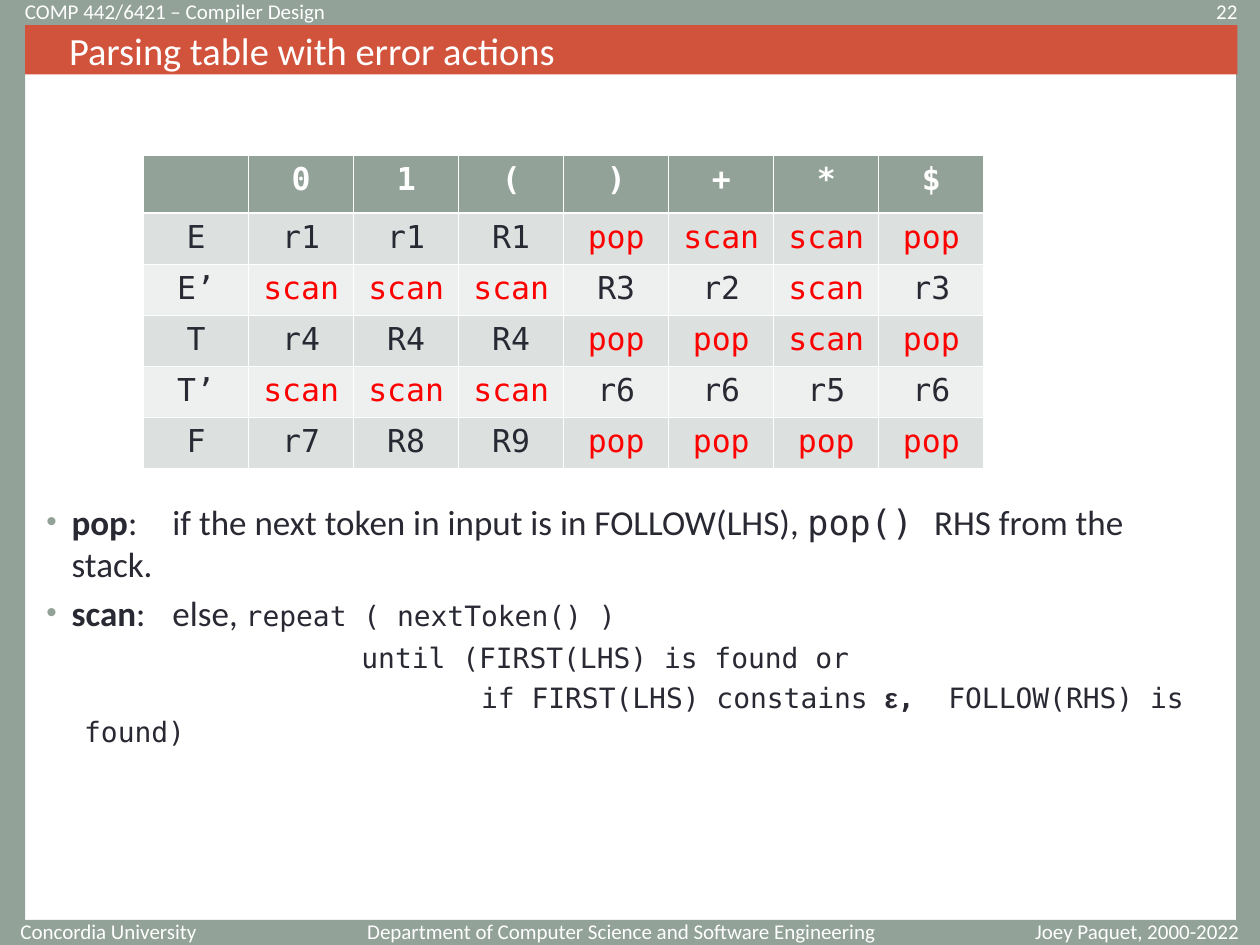
from pptx import Presentation
from pptx.dml.color import RGBColor
from pptx.enum.shapes import MSO_SHAPE
from pptx.enum.text import MSO_ANCHOR, PP_ALIGN
from pptx.oxml.ns import qn
from pptx.util import Inches, Pt
from lxml import etree

RECT = MSO_SHAPE.RECTANGLE
MIDDLE = MSO_ANCHOR.MIDDLE
LEFT, CENTER, RIGHT = PP_ALIGN.LEFT, PP_ALIGN.CENTER, PP_ALIGN.RIGHT
COLORS = {"sage": "93A299", "brick": "D2533C", "white": "FFFFFF", "ink": "292934",
          "error": "FF0000", "band": "DCE0DE", "light": "EEF0EF"}
SANS, MONO, ARIAL = "Calibri", "DejaVu Sans Mono", "Arial"
COLS, ROWS = 100, 75  # slide grid

PARSING_TABLE = [
    ["", "0", "1", "(", ")", "+", "*", "$"],
    ["E", "r1", "r1", "R1", "pop", "scan", "scan", "pop"],
    ["E’", "scan", "scan", "scan", "R3", "r2", "scan", "r3"],
    ["T", "r4", "R4", "R4", "pop", "pop", "scan", "pop"],
    ["T’", "scan", "scan", "scan", "r6", "r6", "r5", "r6"],
    ["F", "r7", "R8", "R9", "pop", "pop", "pop", "pop"],
]
ERROR_ACTIONS = ("pop", "scan")

# Paragraphs: bulleted, first-line indent in columns, runs of (text, size, font, bold)
RULES = [
    (True, -2, [("pop", 20, SANS, True),
                (": \tif the next token in input is in FOLLOW(LHS), ", 20, SANS, False),
                ("pop() ", 20, MONO, False), ("RHS from the stack.", 20, SANS, False)]),
    (True, -2, [("scan", 20, SANS, True), (": \telse, ", 20, SANS, False),
                ("repeat ( nextToken() )", 16, MONO, False)]),
    (False, 22, [("until (FIRST(LHS) is found or", 16, MONO, False)]),
    (False, 31.5, [("if FIRST(LHS) constains ", 16, MONO, False), ("ε", 16, ARIAL, True),
                   (",  ", 16, MONO, True), ("FOLLOW(RHS) is found)", 16, MONO, False)]),
]


def rgb(name):
    return RGBColor.from_string(COLORS[name])


class Deck:
    def __init__(self, width, height):
        self.prs = Presentation()
        self.prs.slide_width, self.prs.slide_height = Inches(width), Inches(height)
        self.s = self.prs.slides.add_slide(self.prs.slide_layouts[6])

    def x(self, cols):
        return round(self.prs.slide_width * cols / COLS)

    def y(self, rows):
        return round(self.prs.slide_height * rows / ROWS)

    def box(self, at):
        left, top, width, height = at
        return self.x(left), self.y(top), self.x(width), self.y(height)

    def font(self, r, size, color, name=SANS, bold=False):
        r.font.size, r.font.name, r.font.bold = Pt(size), name, bold
        r.font.color.rgb = rgb(color)

    def bar(self, at, color):
        sp = self.s.shapes.add_shape(RECT, *self.box(at))
        sp.shadow.inherit = False
        sp.fill.solid()
        sp.fill.fore_color.rgb = rgb(color)
        sp.line.fill.background()
        return sp

    def line_of_text(self, tf, text, size, align):
        tf.word_wrap = True
        tf.vertical_anchor = MIDDLE
        tf.text = text
        p = tf.paragraphs[0]
        p.alignment = align
        self.font(p.runs[0], size, "white")
        return p

    def title(self, at, text):
        p = self.line_of_text(self.bar(at, "brick").text_frame, text, 22, LEFT)
        p._p.get_or_add_pPr().set("marL", str(self.x(2.5)))

    def label(self, at, text, align):
        tf = self.s.shapes.add_textbox(*self.box(at)).text_frame
        self.line_of_text(tf, text, 12, align)

    def rules(self, at, paragraphs):
        tf = self.s.shapes.add_textbox(*self.box(at)).text_frame
        tf.word_wrap = True
        for i, (bulleted, indent, runs) in enumerate(paragraphs):
            p = tf.paragraphs[0] if i == 0 else tf.add_paragraph()
            p.space_before = Pt(4 if i else 0)
            pPr = p._p.get_or_add_pPr()
            pPr.set("marL", str(self.x(2 if bulleted else 3)))
            pPr.set("indent", str(self.x(indent)))
            if bulleted:
                self.bullet(pPr)
            for text, size, name, bold in runs:
                r = p.add_run()
                r.text = text
                self.font(r, size, "ink", name, bold)

    def bullet(self, pPr):
        """Add a sage bullet and a tab stop ten columns in."""
        color = etree.SubElement(pPr, qn("a:buClr"))
        etree.SubElement(color, qn("a:srgbClr"), val=COLORS["sage"])
        etree.SubElement(pPr, qn("a:buSzPct"), val="85000")
        etree.SubElement(pPr, qn("a:buFont"), typeface=ARIAL)
        etree.SubElement(pPr, qn("a:buChar"), char="•")
        tabs = etree.SubElement(pPr, qn("a:tabLst"))
        etree.SubElement(tabs, qn("a:tab"), pos=str(self.x(10)), algn="l")

    def table(self, at, data, header_height):
        left, top, width, height = at
        shape = self.s.shapes.add_table(len(data), len(data[0]), *self.box(at))
        table = shape.table
        for column in table.columns:
            column.width = self.x(width / len(data[0]))
        for i, row in enumerate(data):
            body_height = (height - header_height) / (len(data) - 1)
            table.rows[i].height = self.y(body_height if i else header_height)
            for j, text in enumerate(row):
                self.cell(table.cell(i, j), text, i)

    def cell(self, cell, text, row):
        cell.fill.solid()
        fill = "sage" if row == 0 else "band" if row % 2 else "light"
        cell.fill.fore_color.rgb = rgb(fill)
        self.borders(cell, 1.47 if row == 1 else 0.45, 1.47 if row == 0 else 0.45)
        cell.text = text
        p = cell.text_frame.paragraphs[0]
        p.alignment = CENTER
        color = "white" if row == 0 else "error" if text in ERROR_ACTIONS else "ink"
        for r in p.runs:
            self.font(r, 18, color, MONO, row == 0)

    def borders(self, cell, top, bottom):
        tcPr = cell._tc.get_or_add_tcPr()
        widths = {"lnL": 0.45, "lnR": 0.45, "lnT": top, "lnB": bottom}
        for i, (tag, width) in enumerate(widths.items()):
            ln = etree.Element(qn(f"a:{tag}"), w=str(Pt(width)))
            fill = etree.SubElement(ln, qn("a:solidFill"))
            etree.SubElement(fill, qn("a:srgbClr"), val=COLORS["white"])
            tcPr.insert(i, ln)


def main():
    deck = Deck(10, 7.5)
    for at in [(0, 0, COLS, 2), (0, 73, COLS, 2), (0, 0, 2, 74.4), (98.1, 1.8, 1.9, 73.2)]:
        deck.bar(at, "sage")
    deck.title((2, 2, 96.2, 3.9), "Parsing table with error actions")
    for left, top, width, text, align in [
        (1, 0.3, 56, "COMP 442/6421 – Compiler Design", LEFT),
        (87.5, 0.3, 11.7, "22", RIGHT),
        (0.3, 73.3, 16.3, "Concordia University", RIGHT),
        (28, 73.3, 42.5, "Department of Computer Science and Software Engineering", RIGHT),
        (79.9, 73.3, 20.7, "Joey Paquet, 2000-2022", CENTER),
    ]:
        deck.label((left, top, width, 1.2), text, align)
    deck.table((11.4, 12.3, 66.7, 24.9), PARSING_TABLE, 4.6)
    deck.rules((2.7, 39.2, 94.5, 33), RULES)
    deck.prs.save("out.pptx")


if __name__ == "__main__":
    main()
